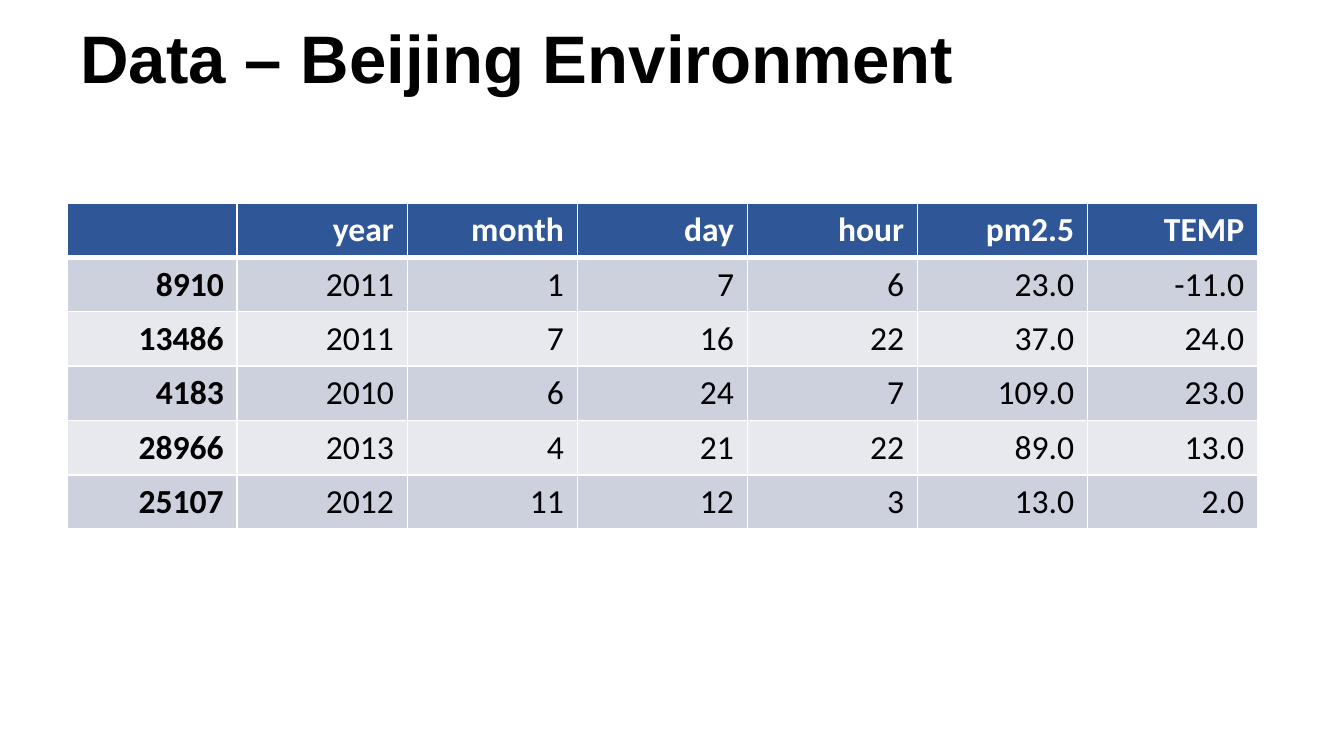
from pptx import Presentation
from pptx.dml.color import RGBColor
from pptx.enum.text import MSO_ANCHOR as Anchor, PP_ALIGN as Align
from pptx.oxml.ns import qn
from pptx.util import Inches, Pt
from lxml.etree import SubElement

WHITE = "FFFFFF"
BLACK = "000000"
HEADER_FILL = "2F5696"
BAND_FILLS = ("CDD1DD", "E8E9EF")
ROWS = [
    ["", "year", "month", "day", "hour", "pm2.5", "TEMP"],
    ["8910", "2011", "1", "7", "6", "23.0", "-11.0"],
    ["13486", "2011", "7", "16", "22", "37.0", "24.0"],
    ["4183", "2010", "6", "24", "7", "109.0", "23.0"],
    ["28966", "2013", "4", "21", "22", "89.0", "13.0"],
    ["25107", "2012", "11", "12", "3", "13.0", "2.0"],
]


def color(value):
    return RGBColor.from_string(value)


def set_font(paragraph, name, size, value, bold):
    font = paragraph.font
    font.name = name
    font.size = Pt(size)
    font.bold = bold
    font.color.rgb = color(value)


def add_title(slide, text):
    box = slide.shapes.add_textbox(Inches(0.5), Inches(0.07), Inches(8.86), Inches(0.78))
    frame = box.text_frame
    frame.word_wrap = True
    frame.vertical_anchor = Anchor.MIDDLE
    frame.text = text
    paragraph = frame.paragraphs[0]
    paragraph.line_spacing = 0.9
    set_font(paragraph, "Arial", 36, BLACK, True)


def add_borders(cell, top, bottom):
    properties = cell._tc.get_or_add_tcPr()
    for side, width in (("L", 1), ("R", 1), ("T", top), ("B", bottom)):
        line = SubElement(properties, qn(f"a:ln{side}"), w=str(Pt(width)))
        fill = SubElement(line, qn("a:solidFill"))
        SubElement(fill, qn("a:srgbClr"), val=WHITE)


def style_cell(cell, row, column):
    header = row == 0
    add_borders(cell, 3 if row == 1 else 1, 3 if header else 1)
    cell.fill.solid()
    cell.fill.fore_color.rgb = color(HEADER_FILL if header else BAND_FILLS[(row - 1) % 2])
    paragraph = cell.text_frame.paragraphs[0]
    paragraph.alignment = Align.RIGHT
    set_font(paragraph, "Calibri", 18, WHITE if header else BLACK, header or column == 0)


def add_data_table(slide, rows):
    frame = slide.shapes.add_table(
        len(rows), len(rows[0]), Inches(0.5), Inches(1.51), Inches(8.86), Inches(2.43)
    )
    table = frame.table
    for column in table.columns:
        column.width = Inches(8.86 / len(rows[0]))
    for row, values in enumerate(rows):
        for column, value in enumerate(values):
            cell = table.cell(row, column)
            cell.text = value
            style_cell(cell, row, column)


def main():
    presentation = Presentation()
    presentation.slide_width = Inches(10)
    presentation.slide_height = Inches(10 * 9 / 16)
    slide = presentation.slides.add_slide(presentation.slide_layouts[6])
    add_title(slide, "Data – Beijing Environment")
    add_data_table(slide, ROWS)
    presentation.save("out.pptx")


if __name__ == "__main__":
    main()
